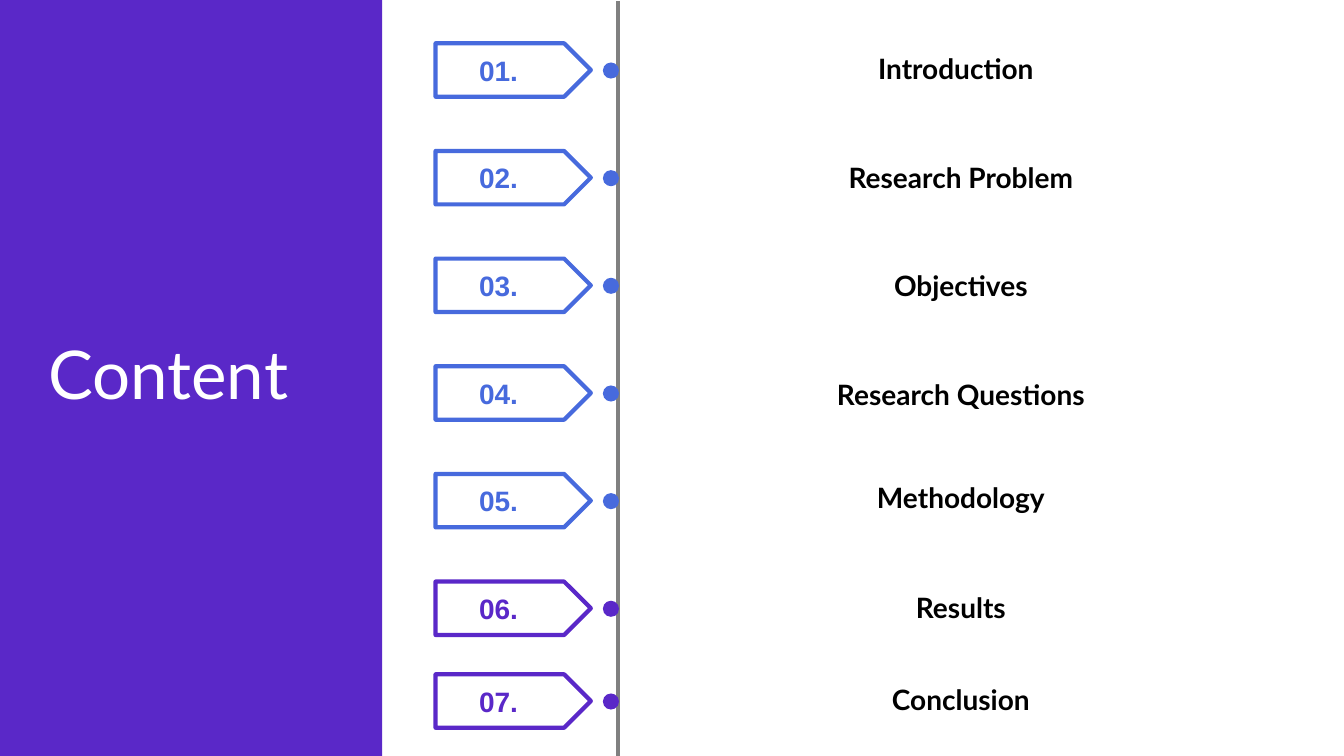
from dataclasses import dataclass

from lxml.etree import SubElement
from pptx import Presentation
from pptx.dml.color import RGBColor
from pptx.enum.shapes import MSO_CONNECTOR as Connector, MSO_SHAPE as Shape
from pptx.enum.text import MSO_ANCHOR as Anchor, MSO_AUTO_SIZE as AutoSize, PP_ALIGN as Align
from pptx.oxml.ns import qn
from pptx.util import Inches, Pt


@dataclass(frozen=True)
class Theme:
    purple: str = "5A28C8"
    blue: str = "476ADD"
    gray: str = "808080"
    white: str = "FFFFFF"
    black: str = "000000"
    heading_font: str = "Lato"
    number_font: str = "Arial"
    title_size: int = 48
    entry_size: int = 20
    line_width: int = 3


THEME = Theme()

# Topic, colour, and drop of the topic below the top of its tag
ENTRIES = [
    ("Introduction", THEME.blue, 0.03),
    ("Research Problem", THEME.blue, 0.04),
    ("Objectives", THEME.blue, 0.04),
    ("Research Questions", THEME.blue, 0.06),
    ("Methodology", THEME.blue, 0.01),
    ("Results", THEME.purple, 0.03),
    ("Conclusion", THEME.purple, 0.03),
]
FIRST_TOP, SIXTH_TOP, LAST_TOP = 0.43, 5.77, 6.69
PITCH = (SIXTH_TOP - FIRST_TOP) / 5


def add_text(slide, text, left, top, width, height, *, size, color, font,
             bold=False, align=Align.CENTER, anchor=Anchor.MIDDLE,
             line_spacing=None, grow=True):
    box = slide.shapes.add_textbox(Inches(left), Inches(top), Inches(width), Inches(height))
    frame = box.text_frame
    frame.word_wrap = True
    frame.vertical_anchor = anchor
    frame.auto_size = AutoSize.SHAPE_TO_FIT_TEXT if grow else AutoSize.NONE
    paragraph = frame.paragraphs[0]
    paragraph.alignment = align
    paragraph.line_spacing = line_spacing
    run = paragraph.add_run()
    run.text = text
    run.font.size = Pt(size)
    run.font.name = font
    run.font.bold = bold
    run.font.color.rgb = RGBColor.from_string(color)


def add_figure(slide, kind, left, top, width, height, *, fill, line=None):
    figure = slide.shapes.add_shape(kind, Inches(left), Inches(top), Inches(width), Inches(height))
    figure.shadow.inherit = False
    figure.fill.solid()
    figure.fill.fore_color.rgb = RGBColor.from_string(fill)
    if line:
        figure.line.color.rgb = RGBColor.from_string(line)
        figure.line.width = Pt(THEME.line_width)
    else:
        figure.line.fill.background()


def add_title_panel(slide, left, top, width, height):
    add_figure(slide, Shape.RECTANGLE, left, top, width, height, fill=THEME.purple)
    add_text(slide, "Content", left + 0.38, top + 2.77, width - 0.44, 1.96,
             size=THEME.title_size, color=THEME.white, font=THEME.heading_font,
             align=Align.LEFT, line_spacing=0.9, grow=False)


def add_timeline(slide, x, top, bottom):
    timeline = slide.shapes.add_connector(
        Connector.STRAIGHT, Inches(x), Inches(top), Inches(x), Inches(bottom))
    timeline.line.color.rgb = RGBColor.from_string(THEME.gray)
    timeline.line.width = Pt(THEME.line_width)
    SubElement(timeline._element.spPr, qn("a:effectLst"))


def add_entry(slide, number, topic, color, left, top, topic_left, topic_drop):
    # Numbered tag
    add_figure(slide, Shape.PENTAGON, left, top, 1.54, 0.53, fill=THEME.white, line=color)
    add_text(slide, f"{number:02}.", left + 0.16, top + 0.05, 0.93, 0.44,
             size=THEME.entry_size, color=color, font=THEME.number_font,
             bold=True, anchor=Anchor.TOP)
    # Dot on the timeline
    add_figure(slide, Shape.OVAL, left + 1.66, top + 0.19, 0.16, 0.16, fill=color)
    # Topic
    add_text(slide, topic, topic_left, top + topic_drop, 6.32, 0.44,
             size=THEME.entry_size, color=THEME.black, font=THEME.heading_font, bold=True)


def add_agenda(slide, left, top):
    for index, (topic, color, drop) in enumerate(ENTRIES):
        is_last = index == len(ENTRIES) - 1
        offset = LAST_TOP - FIRST_TOP if is_last else index * PITCH
        topic_left = left + (2.0 if index == 0 else 2.05)
        add_entry(slide, index + 1, topic, color, left, top + offset, topic_left, drop)


def main():
    deck = Presentation()
    deck.slide_width, deck.slide_height = Inches(13.33), Inches(7.5)
    slide = deck.slides.add_slide(deck.slide_layouts[6])
    add_title_panel(slide, 0, 0, 3.79, 7.5)
    add_timeline(slide, 6.13, 0.01, 7.5)
    add_agenda(slide, 4.32, FIRST_TOP)
    deck.save("out.pptx")


if __name__ == "__main__":
    main()
